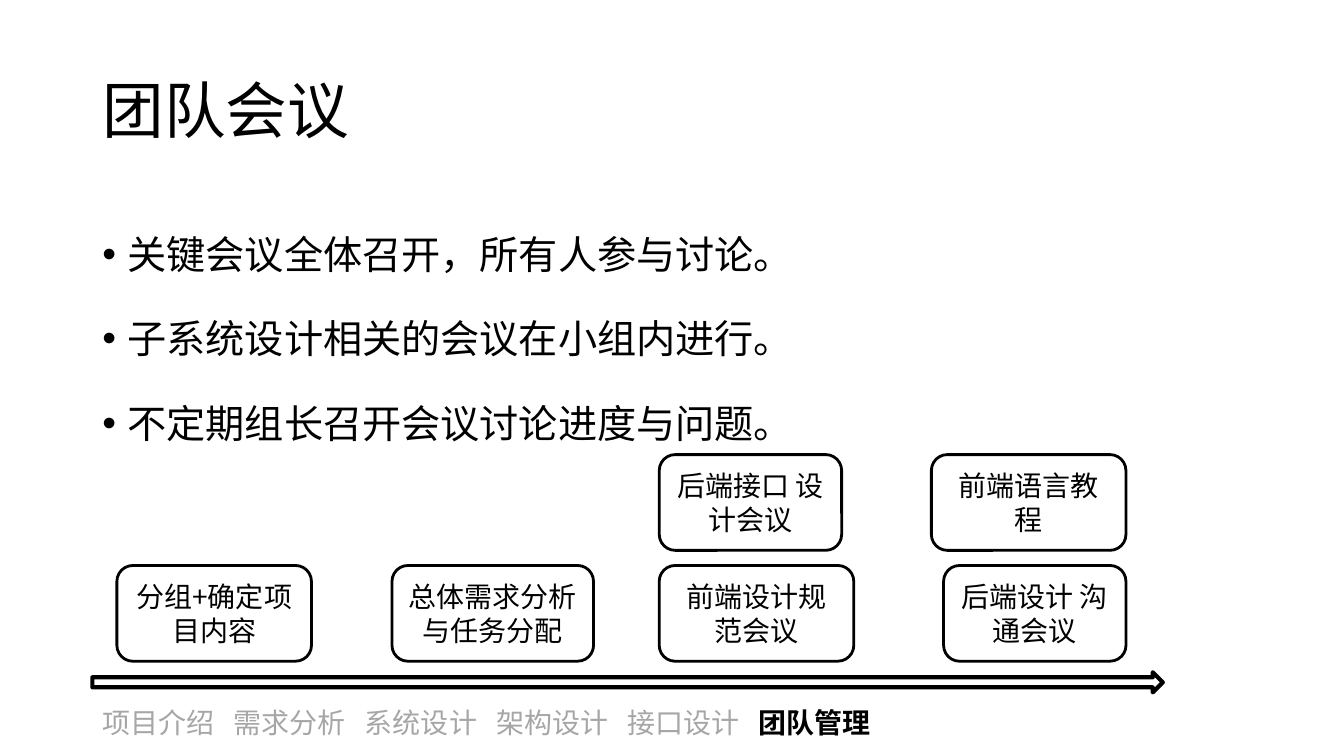
from lxml import etree
from pptx import Presentation
from pptx import util as u
from pptx.dml.color import RGBColor
from pptx.enum import shapes, text
from pptx.oxml import ns

COLORS = {"ink": "000000", "paper": "FFFFFF", "muted": "A6A6A6"}
CJK_FONT = "Noto Sans CJK SC"


def set_font(paragraph, size, name):
    font = paragraph.font
    font.size, font.name = u.Pt(size), name
    font.color.rgb = RGBColor.from_string(COLORS["ink"])
    east_asian = etree.SubElement(font._element, ns.qn("a:ea"))
    east_asian.set("typeface", CJK_FONT)


def add_outlined(kind, left, top, width, height, line_width):
    shape = slide.shapes.add_shape(kind, u.Pt(left), u.Pt(top), u.Pt(width), u.Pt(height))
    shape.shadow.inherit = False
    shape.fill.solid()
    shape.fill.fore_color.rgb = RGBColor.from_string(COLORS["paper"])
    shape.line.color.rgb = RGBColor.from_string(COLORS["ink"])
    shape.line.width = u.Pt(line_width)
    return shape


presentation = Presentation()
presentation.slide_width, presentation.slide_height = u.Pt(960), u.Pt(540)
slide = presentation.slides.add_slide(presentation.slide_layouts[5])

# Title
title = slide.shapes.title
title.left, title.top, title.width, title.height = u.Pt(66), u.Pt(28.8), u.Pt(828), u.Pt(104.4)
title.text_frame.text = "团队会议"
title.text_frame.vertical_anchor = text.MSO_ANCHOR.MIDDLE
title.text_frame.auto_size = text.MSO_AUTO_SIZE.NONE
paragraph = title.text_frame.paragraphs[0]
paragraph.alignment = text.PP_ALIGN.LEFT
paragraph.line_spacing = 0.9
set_font(paragraph, 44, "Arial")

# Bulleted points
points = ["关键会议全体召开，所有人参与讨论。",
          "子系统设计相关的会议在小组内进行。",
          "不定期组长召开会议讨论进度与问题。"]
body = slide.shapes.add_textbox(u.Pt(66), u.Pt(144), u.Pt(828), u.Pt(342.7))
body.text_frame.word_wrap = True
body.text_frame.text = "\n".join(points)
for paragraph in body.text_frame.paragraphs:
    properties = paragraph._p.get_or_add_pPr()
    properties.set("marL", str(u.Pt(18)))
    properties.set("indent", str(-u.Pt(18)))
    etree.SubElement(properties, ns.qn("a:buFont")).set("typeface", "Arial")
    etree.SubElement(properties, ns.qn("a:buChar")).set("char", "•")
    paragraph.line_spacing = 1.5
    paragraph.space_before = u.Pt(10)
    set_font(paragraph, 28, "Arial")

# Meetings above the timeline: label, left, width, row
ROW_TOPS = {"upper": 324.7, "lower": 403.9}
meetings = [
    ("分组+确定项目内容", 83.5, 139, "lower"),
    ("总体需求分析与任务分配", 280, 144, "lower"),
    ("前端设计规范会议", 470.9, 139, "lower"),
    ("前端语言教程", 665.3, 139, "upper"),
    ("后端设计 沟通会议", 674, 130.3, "lower"),
    ("后端接口 设计会议", 470.9, 130.3, "upper"),
]
for label, left, width, row in meetings:
    box = add_outlined(shapes.MSO_SHAPE.ROUNDED_RECTANGLE, left, ROW_TOPS[row], width, 68.4, 2)
    box.text_frame.word_wrap = True
    box.text_frame.vertical_anchor = text.MSO_ANCHOR.MIDDLE
    box.text_frame.text = label
    paragraph = box.text_frame.paragraphs[0]
    paragraph.alignment = text.PP_ALIGN.CENTER
    set_font(paragraph, 20, CJK_FONT)

# Timeline arrow
add_outlined(shapes.MSO_SHAPE.RIGHT_ARROW, 66, 480.2, 764.6, 14.4, 3)

# Section navigation, evenly spaced by tab stops
sections = ["项目介绍", "需求分析", "系统设计", "架构设计", "接口设计", "团队管理"]
current = "团队管理"
navigation = slide.shapes.add_textbox(u.Pt(66), u.Pt(500.4), u.Pt(787.7), u.Pt(31.7))
navigation.text_frame.word_wrap = True
paragraph = navigation.text_frame.paragraphs[0]
tabs = etree.SubElement(paragraph._p.get_or_add_pPr(), ns.qn("a:tabLst"))
for index, section in enumerate(sections):
    if index:
        etree.SubElement(tabs, ns.qn("a:tab"), pos=str(u.Pt(93.8 * index)), algn="l")
    run = paragraph.add_run()
    run.text = "\t" + section if index else section
    run.font.bold = section == current
    run.font.color.rgb = RGBColor.from_string(COLORS["ink" if section == current else "muted"])
set_font(paragraph, 20, CJK_FONT)

presentation.save("out.pptx")
